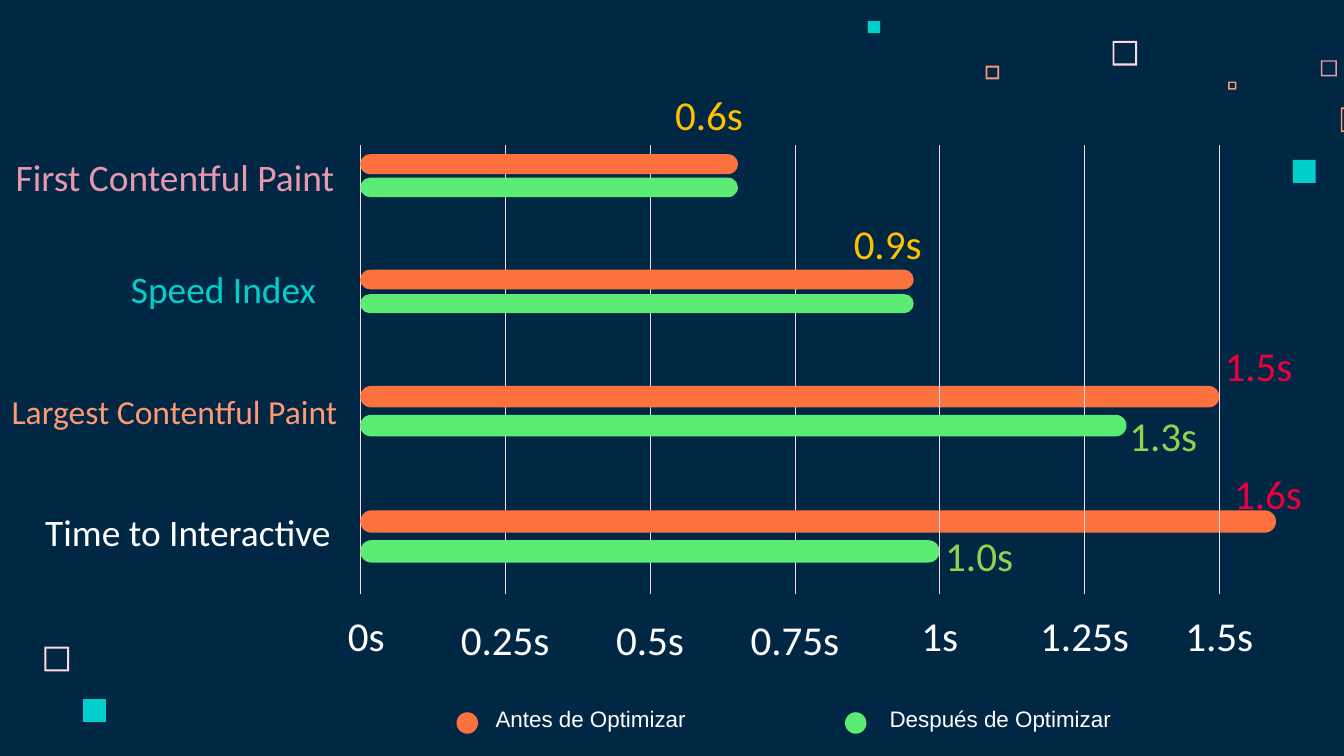
"""Builds a slide of horizontal bars comparing page load times before and after optimising."""
from dataclasses import dataclass

from lxml.etree import SubElement
from pptx import Presentation
from pptx.dml.color import RGBColor
from pptx.enum.shapes import MSO_CONNECTOR, MSO_SHAPE
from pptx.enum.text import MSO_ANCHOR, MSO_AUTO_SIZE, PP_ALIGN
from pptx.oxml.ns import qn
from pptx.util import Pt


@dataclass(frozen=True)
class Theme:
    background: str = "002845"
    white: str = "FFFFFF"
    pale: str = "FFD6E1"
    pink: str = "E898AC"
    peach: str = "FF9973"
    teal: str = "00CFCC"
    before: str = "FC723F"
    after: str = "5CEC74"
    same: str = "FFC000"
    slow: str = "EB003F"
    fast: str = "92D050"
    font: str = "Calibri"
    legend_font: str = "Arial"
    value_size: int = 22
    label_size: int = 20
    long_label_size: int = 18
    legend_size: int = 12


theme = Theme()
deck = Presentation()
deck.slide_width, deck.slide_height = Pt(720), Pt(405)
page = deck.slides.add_slide(deck.slide_layouts[5])
page.background.fill.solid()
page.background.fill.fore_color.rgb = RGBColor.from_string(theme.background)


def add_filled(kind, left, top, width, height, color):
    shape = page.shapes.add_shape(kind, Pt(left), Pt(top), Pt(width), Pt(height))
    shape.shadow.inherit = False
    shape.fill.solid()
    shape.fill.fore_color.rgb = RGBColor.from_string(color)
    shape.line.fill.background()
    return shape


def write_text(box, frame, text, color, size, align=PP_ALIGN.CENTER, font=theme.font):
    box.left, box.top, box.width, box.height = map(Pt, frame)
    body = box.text_frame
    body.text = text
    body.word_wrap = True
    body.auto_size = MSO_AUTO_SIZE.NONE
    body.vertical_anchor = MSO_ANCHOR.BOTTOM
    body.margin_left = body.margin_right = body.margin_top = body.margin_bottom = Pt(7.2)
    para = body.paragraphs[0]
    para.alignment = align
    span = para.runs[0]
    span.font.name = font
    span.font.size = Pt(size)
    span.font.color.rgb = RGBColor.from_string(color)


hollow_squares = [
    (596, 21.9, 13.2, 0.08, theme.pale),
    (707.6, 32.3, 8.6, 0.09, theme.pink),
    (658, 43.7, 4.3, 0.17, theme.peach),
    (718.3, 57.6, 13.2, 0.07, theme.peach),
    (528, 35.2, 7.3, 0.14, theme.peach),
    (23.8, 346.5, 13.2, 0.08, theme.pale),
]
for left, top, size, thickness, color in hollow_squares:
    square = add_filled(MSO_SHAPE.FRAME, left, top, size, size, color)
    square.adjustments[0] = thickness

for left, top, size in [(692.6, 85.7, 12.3), (465, 11.3, 6.5), (44.5, 374.5, 12.3)]:
    add_filled(MSO_SHAPE.RECTANGLE, left, top, size, size, theme.teal)

axis_left, tick_gap = 193, 77.6
ticks = [axis_left + tick_gap * index for index in range(6)] + [653.2]
bars = [
    (82.6, 202.3, 10.7, theme.before),
    (95.2, 202.3, 10.5, theme.after),
    (144.5, 296.5, 10.5, theme.before),
    (157.6, 296.5, 10.2, theme.after),
    (206.8, 460.2, 11.5, theme.before),
    (273.4, 490.6, 12, theme.before),
    (289.4, 310.4, 12, theme.after),
    (222.3, 410.5, 11.5, theme.after),
]
for layer_ticks, layer_bars in [(ticks[:4], bars[:-1]), (ticks[4:], bars[-1:])]:
    for tick in layer_ticks:
        line = page.shapes.add_connector(MSO_CONNECTOR.STRAIGHT, Pt(tick), Pt(77.8), Pt(tick), Pt(318.2))
        line.line.color.rgb = RGBColor.from_string(theme.pale)
        line.line.width = Pt(0.25)
        SubElement(line._element.spPr, qn("a:effectLst"))
    for top, width, height, color in layer_bars:
        bar = add_filled(MSO_SHAPE.ROUNDED_RECTANGLE, axis_left, top, width, height, color)
        bar.adjustments[0] = 0.5

metrics = [
    ("First Contentful Paint", (-5.8, 79.9, 192.2, 33.8), theme.pink, theme.label_size),
    ("Speed Index", (28.1, 142.6, 148.3, 31), theme.teal, theme.label_size),
    ("Largest Contentful Paint", (-29.5, 200.9, 217.4, 37.4), theme.peach, theme.long_label_size),
    ("Time to Interactive", (-33.1, 272.9, 217.4, 31), theme.white, theme.label_size),
]
for index, (text, frame, color, size) in enumerate(metrics):
    box = page.shapes.add_textbox(0, 0, 0, 0) if index else page.shapes.title
    write_text(box, frame, text, color, size, PP_ALIGN.RIGHT)

value_width, value_height = 71.3, 31
tick_names = ["0s", "0.25s", "0.5s", "0.75s", "1s", "1.25s", "1.5s"]
values = [
    ("0.6s", 344.2, 50.4, theme.same),
    ("0.9s", 439.9, 119.5, theme.same),
    ("1.5s", 638.6, 185, theme.slow),
    ("1.3s", 587.5, 222.5, theme.fast),
    ("1.6s", 643.7, 253.4, theme.slow),
    ("1.0s", 488.9, 286.6, theme.fast),
]
for index, (name, tick) in enumerate(zip(tick_names, ticks)):
    left = tick - value_width / 2 + (0 if index else 3.2)
    top = 331.9 if index in (1, 2, 3) else 329.8
    values.append((name, left, top, theme.white))
for text, left, top, color in values:
    box = page.shapes.add_textbox(0, 0, 0, 0)
    write_text(box, (left, top, value_width, value_height), text, color, theme.value_size)

legend = [
    ("Antes de Optimizar", 244.6, 250.4, 124.2, theme.before),
    ("Después de Optimizar", 452.7, 454.1, 148.3, theme.after),
]
for text, dot_left, left, width, color in legend:
    add_filled(MSO_SHAPE.OVAL, dot_left, 381.6, 11.5, 11.5, color)
    box = page.shapes.add_textbox(0, 0, 0, 0)
    write_text(box, (left, 378, width, 21.6), text, theme.white, theme.legend_size,
               PP_ALIGN.RIGHT, theme.legend_font)

deck.save("out.pptx")
